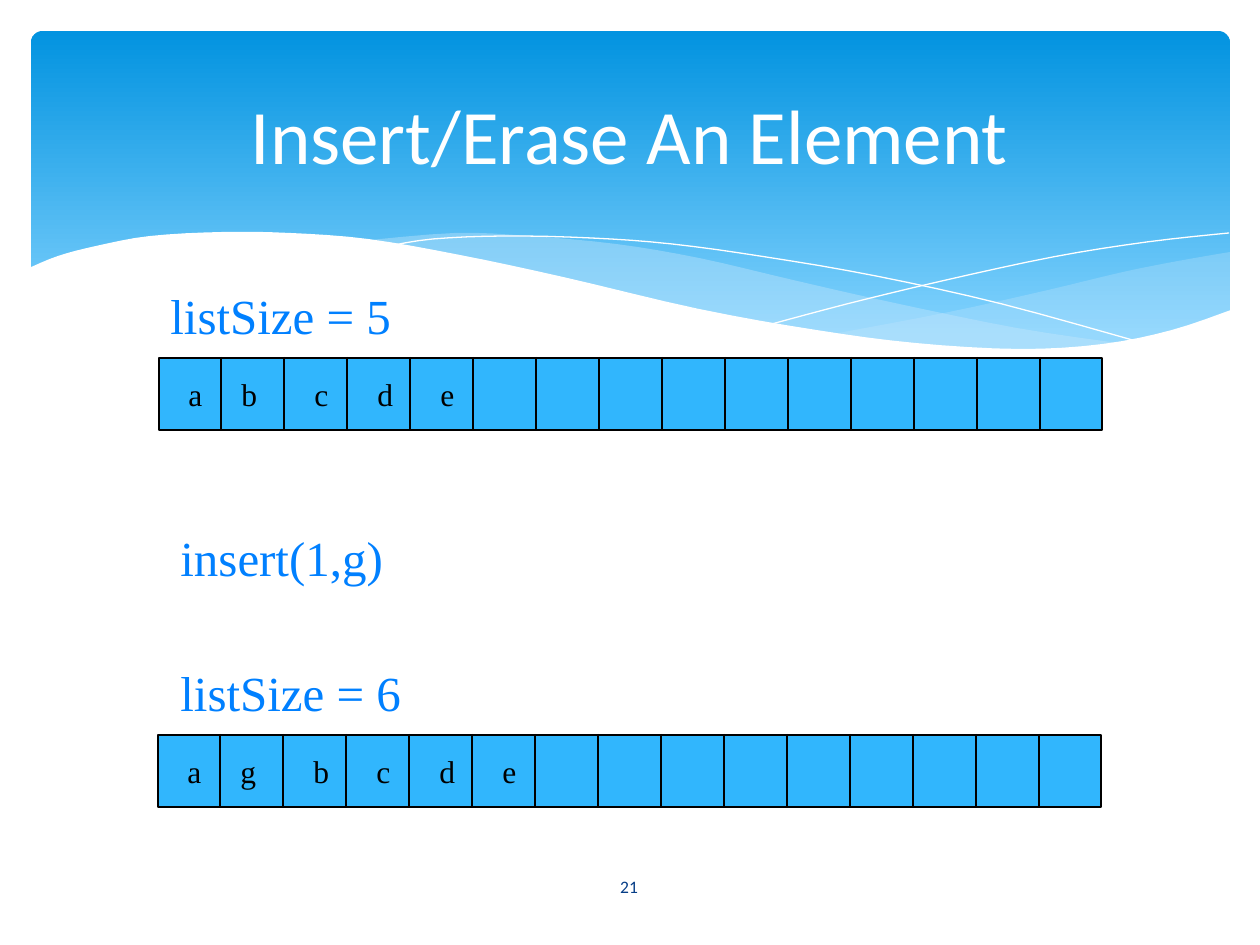
from lxml import etree
from pptx import Presentation, util as u
from pptx.dml.color import RGBColor
from pptx.enum import shapes as kinds, text as txt
from pptx.oxml import ns

PX = 914400 / 126  # EMU in one px


def px(*nums):
    return [u.Emu(round(n * PX)) for n in nums]


def style(obj, words, face, size, hue, align=txt.PP_ALIGN.LEFT):
    frame = obj.text_frame
    frame.text = words
    frame.word_wrap = True
    para = frame.paragraphs[0]
    para.alignment = align
    font = para.runs[0].font
    font.name, font.size = face, u.Pt(size)
    font.color.rgb = RGBColor.from_string(hue)
    return frame


deck = Presentation()
deck.slide_width, deck.slide_height = px(1260, 945)
slide = deck.slides.add_slide(deck.slide_layouts[5])
items = slide.shapes

# Blue panel with a gradient running down
panel = items.add_shape(kinds.MSO_SHAPE.ROUNDED_RECTANGLE, *px(31, 31, 1199, 341))
panel.adjustments[0] = 0.034
panel.shadow.inherit = False
panel.line.fill.background()
panel.fill.gradient()
panel.fill.gradient_angle = 270
for stop, place, hue in zip(panel.fill.gradient_stops, (0, 0.9), ("0293E0", "83D3FE")):
    stop.position = place
    stop.color.rgb = RGBColor.from_string(hue)

# Waves: each is a list of smooth arcs, with fill colour and opacity, or a line
waves = [
    ([[(1230, 252), (1178, 261), (1123, 272), (1048, 290), (949, 312), (833, 334)],
      [(833, 334), (906, 343), (969, 349), (1026, 350), (1087, 347), (1150, 336),
       (1196, 324), (1230, 311)]], "C6E7FC", 29),
    ([[(1125, 344), (1017, 328), (890, 302), (793, 280), (699, 258), (616, 244),
       (529, 236), (455, 233), (360, 241)],
      [(360, 241), (456, 256), (566, 280), (713, 312), (819, 333), (910, 345),
       (1003, 350), (1068, 349), (1125, 344)]], "C6E7FC", 40),
    ([[(389, 246), (433, 239), (505, 236), (591, 238), (672, 244), (766, 257),
       (876, 276), (1002, 304), (1143, 343)]], None, 0),
    ([[(772, 324), (847, 304), (942, 281), (1053, 257), (1147, 242), (1229, 233)]], None, 0),
    ([[(1231, 310), (1172, 330), (1103, 344), (1019, 349), (915, 343), (816, 330),
       (699, 309), (563, 277), (460, 255), (368, 239), (290, 233), (223, 232),
       (150, 236), (96, 246), (58, 256), (29, 268)],
      [(29, 415), (1231, 415)]], "FFFFFF", 100),
]
for arcs, hue, alpha in waves:
    dots = []
    for arc in arcs:
        # Catmull-Rom spline through the points of the arc
        ends = [arc[0]] + arc + [arc[-1]]
        for a, b, c, d in zip(ends, ends[1:], ends[2:], ends[3:]):
            for t in (0, 0.25, 0.5, 0.75):
                dots.append(tuple(
                    (2 * q + (r - p) * t + (2 * p - 5 * q + 4 * r - s) * t ** 2
                     + (3 * q - p - 3 * r + s) * t ** 3) / 2
                    for p, q, r, s in zip(a, b, c, d)))
        dots.append(arc[-1])
    dots = [px(*dot) for dot in dots]
    pen = items.build_freeform(*dots[0])
    pen.add_line_segments(dots[1:], close=hue is not None)
    wave = pen.convert_to_shape()
    wave.shadow.inherit = False
    if hue:
        wave.fill.solid()
        wave.fill.fore_color.rgb = RGBColor.from_string(hue)
        wave.line.fill.background()
        tint = wave.fill._xPr.find(".//" + ns.qn("a:srgbClr"))
        etree.SubElement(tint, ns.qn("a:alpha")).set("val", str(alpha * 1000))
    else:
        wave.fill.background()
        wave.line.color.rgb = RGBColor.from_string("FFFFFF")
        wave.line.width = 0

# Title, brought in front of the waves
title = items.title
title.left, title.top, title.width, title.height = px(63, 47, 1134, 173)
frame = style(title, "Insert/Erase An Element", "Calibri", 44, "FFFFFF", txt.PP_ALIGN.CENTER)
frame.vertical_anchor = txt.MSO_ANCHOR.MIDDLE
items._spTree.append(title._element)

# Arrays of 15 cells
STEP = 63
for left, top, word in ((159, 358, "abcde"), (158, 735, "agbcde")):
    bar = items.add_shape(kinds.MSO_SHAPE.RECTANGLE, *px(left, top, 943, 72))
    bar.shadow.inherit = False
    bar.fill.solid()
    bar.fill.fore_color.rgb = RGBColor.from_string("31B6FD")
    rules = [bar]
    for i in range(14):
        x = left + 62 + i * STEP
        rule = items.add_connector(kinds.MSO_CONNECTOR.STRAIGHT, *px(x, top - 1, x, top + 73))
        etree.SubElement(rule._element.spPr, ns.qn("a:effectLst"))
        rules.append(rule)
    for rule in rules:
        rule.line.color.rgb = RGBColor.from_string("000000")
        rule.line.width = u.Pt(1)
    for i, char in enumerate(word):
        x = left + 17 + i * STEP - (10 if i == 1 else 0)
        cell = items.add_textbox(*px(x, top + 7, 45, 63))
        style(cell, char, "Times New Roman", 18, "000000").margin_top = px(10)[0]

# Captions
for left, top, words in ((158, 273, "listSize = 5"), (168, 514, "insert(1,g)"),
                         (168, 650, "listSize = 6")):
    label = items.add_textbox(*px(left, top, 273, 72))
    style(label, words, "Times New Roman", 28, "0080FF").margin_top = px(13)[0]

# Page number
page = items.add_textbox(*px(549, 862, 160, 50))
frame = style(page, "21", "Calibri", 10, "073E87", txt.PP_ALIGN.CENTER)
frame.vertical_anchor = txt.MSO_ANCHOR.MIDDLE

deck.save("out.pptx")
